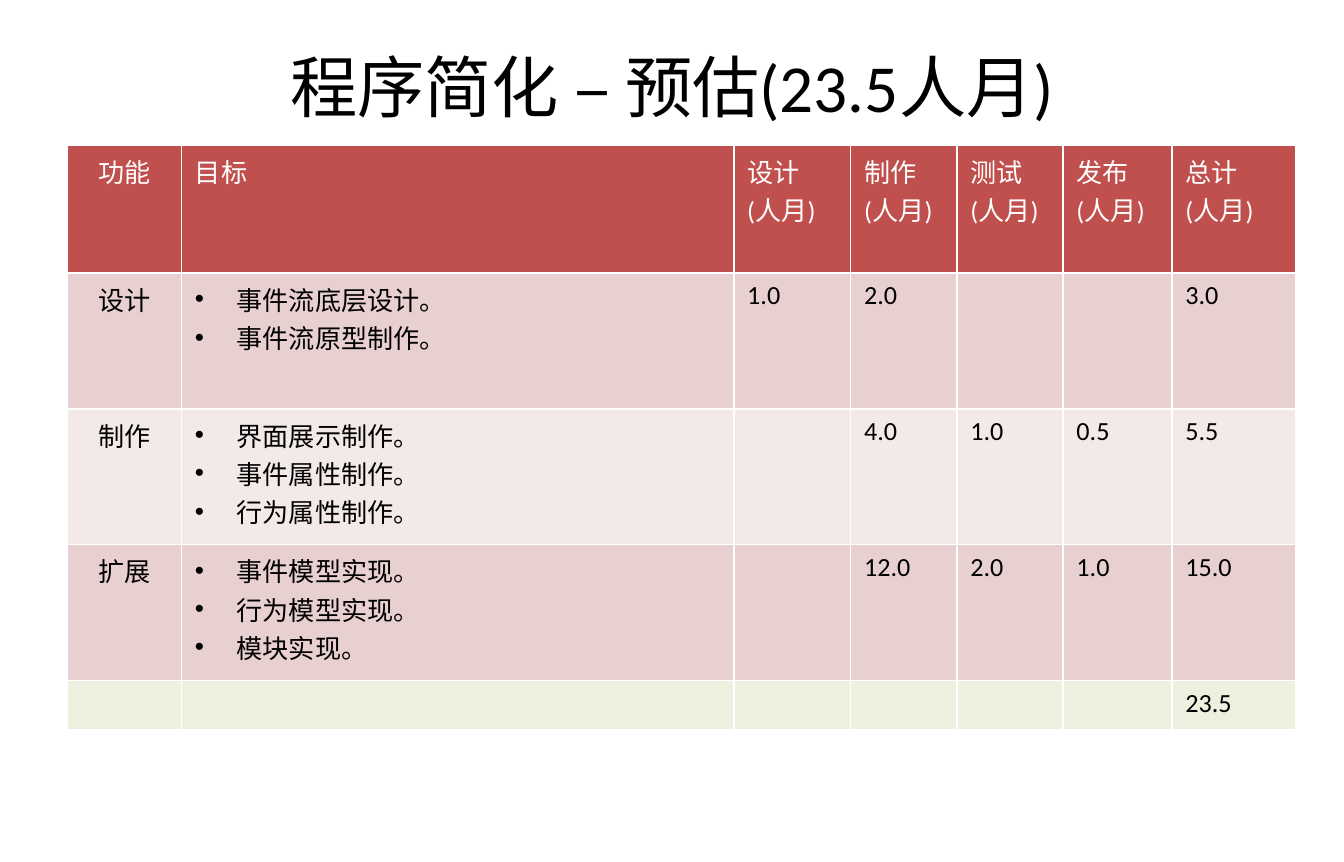
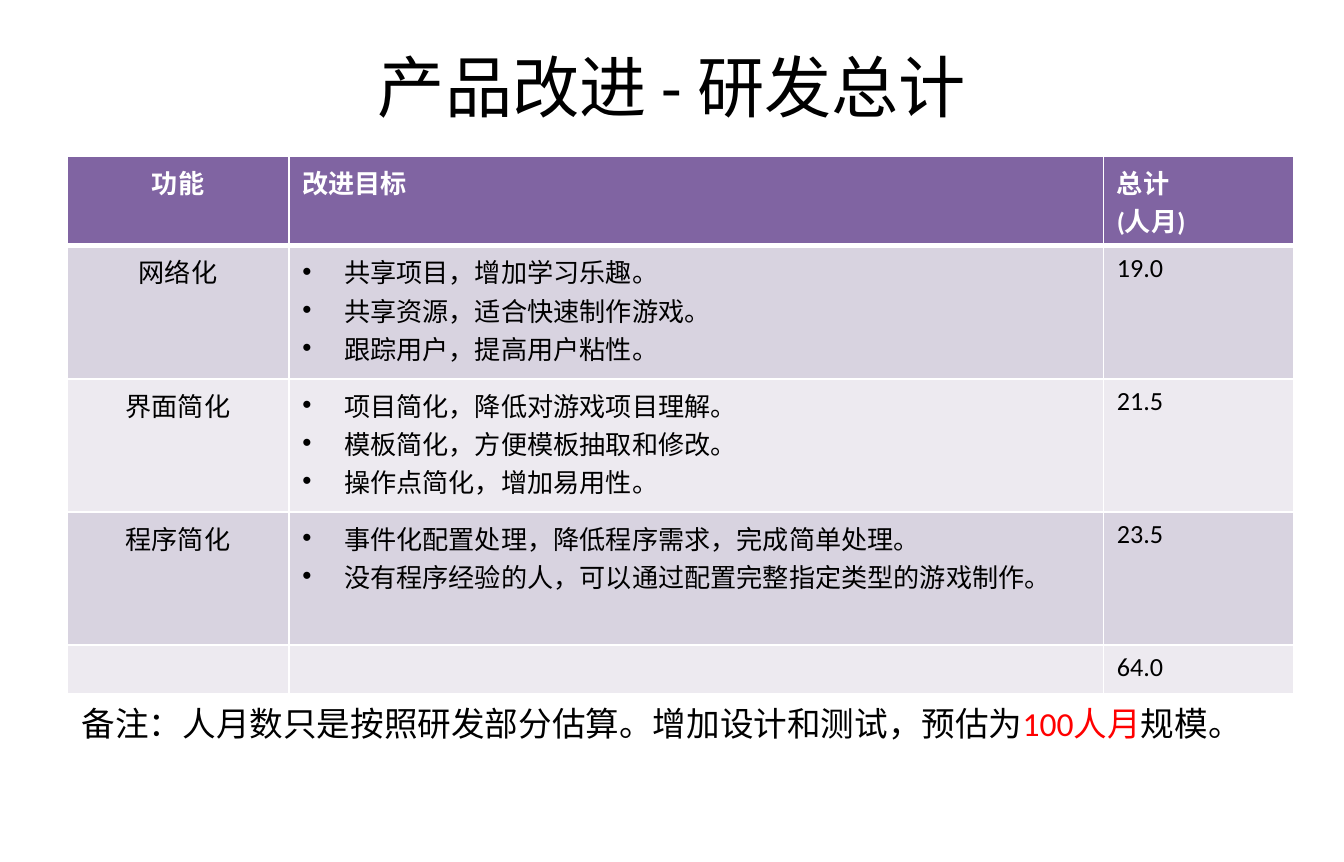
"""Build two slides of work estimates, each with a title and a table."""
import lxml.etree
import pptx
import pptx.dml.color
import pptx.enum.text
import pptx.oxml.ns
import pptx.util

Inches = pptx.util.Inches
FONT = "Calibri"
COLORS = {
    "black": "000000", "white": "FFFFFF", "red": "FF0000",
    "brick": "C0504D", "rose": "E8D0D0", "blush": "F4E9E9",
    "green": "EBF1DE", "plum": "8064A2", "lilac": "D8D3E0", "mist": "EDEAF0",
}
UNIT = "\n(人月)"
COSTS = [
    ["功能", "目标"] + [name + UNIT for name in ("设计", "制作", "测试", "发布", "总计")],
    ["设计", "事件流底层设计。\n事件流原型制作。", "1.0", "2.0", "", "", "3.0"],
    ["制作", "界面展示制作。\n事件属性制作。\n行为属性制作。", "", "4.0", "1.0", "0.5", "5.5"],
    ["扩展", "事件模型实现。\n行为模型实现。\n模块实现。", "", "12.0", "2.0", "1.0", "15.0"],
    ["", "", "", "", "", "", "23.5"],
]
GOALS = [
    ["功能", "改进目标", "总计" + UNIT],
    ["网络化", "共享项目，增加学习乐趣。\n共享资源，适合快速制作游戏。\n跟踪用户，提高用户粘性。", "19.0"],
    ["界面简化", "项目简化，降低对游戏项目理解。\n模板简化，方便模板抽取和修改。\n操作点简化，增加易用性。", "21.5"],
    ["程序简化", "事件化配置处理，降低程序需求，完成简单处理。\n"
     "没有程序经验的人，可以通过配置完整指定类型的游戏制作。", "23.5"],
    ["", "", "64.0"],
]
NOTE = [
    ("备注：人月数只是按照研发部分估算。增加设计和测试，预估为", "black"),
    ("100人月", "red"),
    ("规模。", "black"),
]


def get_color(name):
    """Return the named colour."""
    return pptx.dml.color.RGBColor.from_string(COLORS[name])


def add_tag(parent, name, **attrs):
    """Append a drawing element to its parent."""
    return lxml.etree.SubElement(parent, pptx.oxml.ns.qn("a:" + name), **attrs)


def style_run(run, size, color, bold=False):
    """Set the font of a run."""
    run.font.name = FONT
    run.font.size = pptx.util.Pt(size)
    run.font.bold = bold
    run.font.color.rgb = get_color(color)


def add_title(slide, text):
    """Fill and place the title."""
    title = slide.shapes.title
    title.left, title.top = Inches(0.5), Inches(0.26)
    title.width, title.height = Inches(9), Inches(0.75)
    frame = title.text_frame
    frame.text = text
    frame.auto_size = pptx.enum.text.MSO_AUTO_SIZE.NONE
    frame.vertical_anchor = pptx.enum.text.MSO_ANCHOR.MIDDLE
    frame.paragraphs[0].alignment = pptx.enum.text.PP_ALIGN.CENTER
    style_run(frame.paragraphs[0].runs[0], 36, "black")


def add_edges(cell, top, base):
    """Draw white edges around a cell."""
    props = cell._tc.get_or_add_tcPr()
    for side, width in zip("LRTB", (1, 1, top, base)):
        line = add_tag(props, "ln" + side, w=str(pptx.util.Pt(width)))
        add_tag(add_tag(line, "solidFill"), "srgbClr", val=COLORS["white"])


def add_bullet(para):
    """Give a paragraph a hanging bullet."""
    props = para._p.get_or_add_pPr()
    props.set("marL", str(Inches(0.31)))
    props.set("indent", str(-Inches(0.31)))
    add_tag(props, "buFont", typeface="Arial")
    add_tag(props, "buChar", char="•")


def fill_cell(cell, text, col, head, bold):
    """Write and format the text of a cell."""
    cell.text_frame.text = text
    for para in cell.text_frame.paragraphs:
        if col == 0:
            para.alignment = pptx.enum.text.PP_ALIGN.CENTER
        elif col == 1 and text and not head:
            add_bullet(para)
        for run in para.runs:
            style_run(run, 14, "white" if head else "black", head and bold)
        if not text:
            add_tag(para._p, "endParaRPr", sz="1400")


def add_grid(slide, top, data, widths, heights, fills, rule, bold):
    """Add a table with one fill per row and a rule below its head."""
    frame = slide.shapes.add_table(
        len(data), len(widths), Inches(0.5), Inches(top),
        Inches(sum(widths)), Inches(sum(heights)))
    table = frame.table
    for col, width in zip(table.columns, widths):
        col.width = Inches(width)
    for row, height in zip(table.rows, heights):
        row.height = Inches(height)
    for r, (texts, fill) in enumerate(zip(data, fills)):
        for c, text in enumerate(texts):
            cell = table.cell(r, c)
            add_edges(cell, rule if r == 1 else 1, rule if r == 0 else 1)
            cell.fill.solid()
            cell.fill.fore_color.rgb = get_color(fill)
            fill_cell(cell, text, c, r == 0, bold)


def add_note(slide, parts):
    """Add the remark below the table."""
    box = slide.shapes.add_textbox(Inches(0.51), Inches(5.18), Inches(8.98), Inches(0.4))
    box.text_frame.word_wrap = True
    box.text_frame.auto_size = pptx.enum.text.MSO_AUTO_SIZE.SHAPE_TO_FIT_TEXT
    for text, color in parts:
        run = box.text_frame.paragraphs[0].add_run()
        run.text = text
        style_run(run, 18, color)


def add_page(deck, title):
    """Add a slide with a title."""
    slide = deck.slides.add_slide(deck.slide_layouts[5])
    add_title(slide, title)
    return slide


def main():
    """Build and save the deck."""
    deck = pptx.Presentation()
    deck.slide_width, deck.slide_height = Inches(10), Inches(6.41)

    slide = add_page(deck, "程序简化 – 预估(23.5人月)")
    add_grid(slide, 1.08, COSTS, [0.85, 4.11, 0.87, 0.79, 0.79, 0.81, 0.92],
             [0.63] + [1.01] * 3 + [0.37],
             ["brick", "rose", "blush", "rose", "green"], 1, False)

    slide = add_page(deck, "产品改进 - 研发总计")
    add_grid(slide, 1.16, GOALS, [1.65, 6.06, 1.42],
             [0.61] + [0.99] * 3 + [0.36],
             ["plum", "lilac", "mist", "lilac", "mist"], 3, True)
    add_note(slide, NOTE)

    deck.save("out.pptx")


if __name__ == "__main__":
    main()
